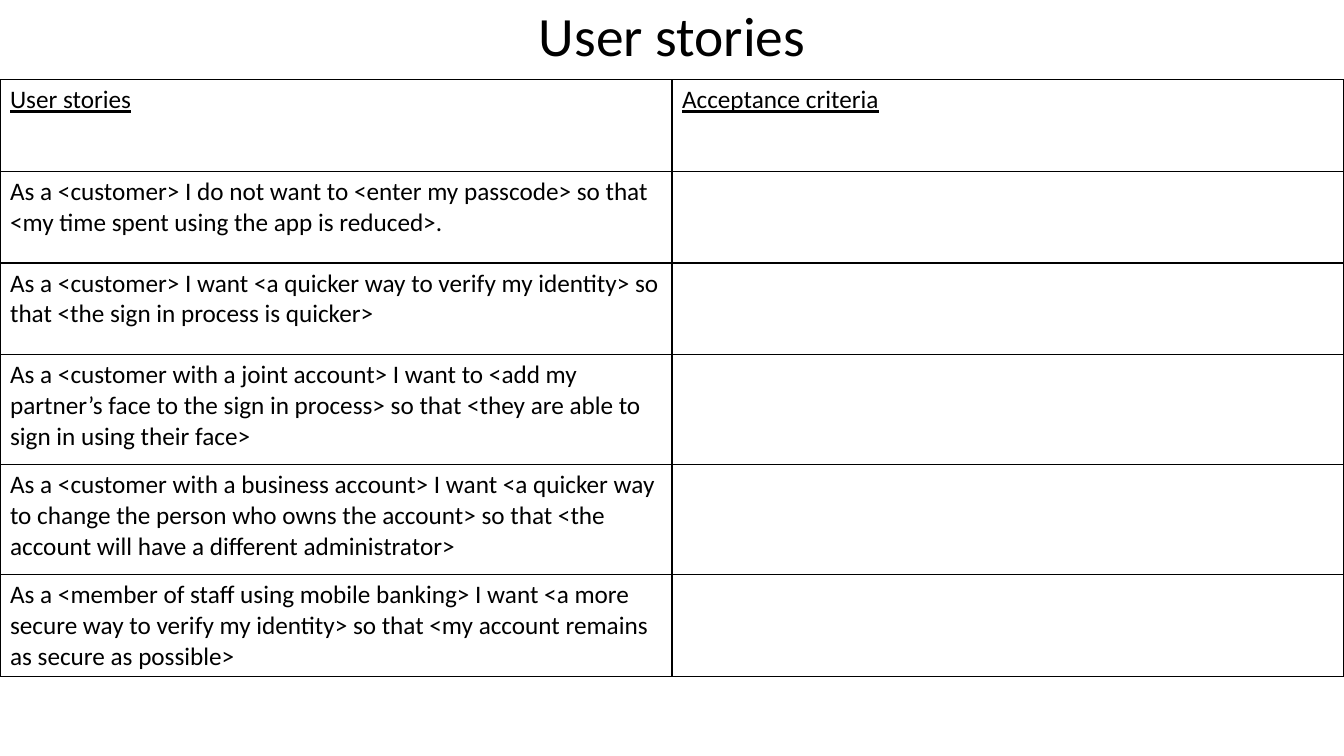
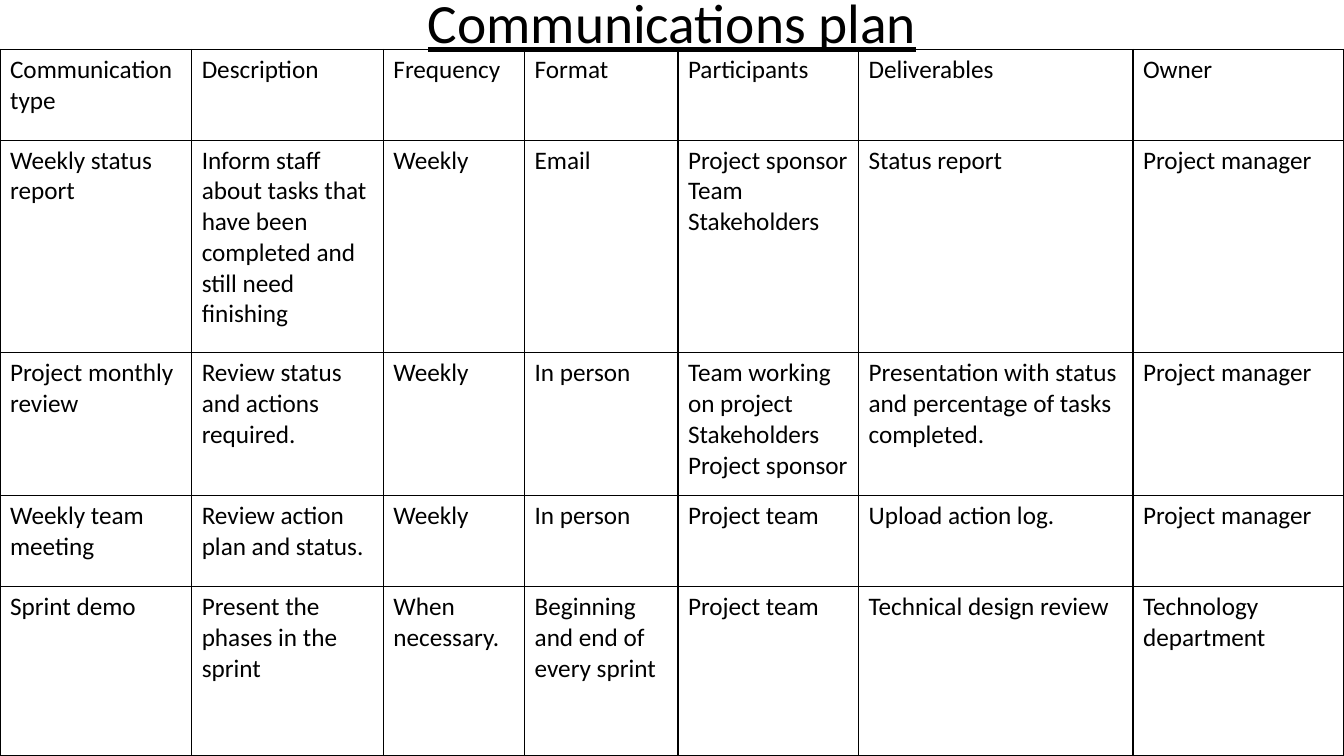
from lxml.etree import SubElement as Sub
from pptx import Presentation
from pptx.dml.color import RGBColor
from pptx.enum.text import MSO_ANCHOR as Anchor, MSO_AUTO_SIZE as Fit, PP_ALIGN as Align
from pptx.oxml.ns import qn
from pptx.util import Inches, Pt

INK = RGBColor(0, 0, 0)
FONT = "Calibri"
WIDE, HIGH = 13.33, 7.5
TOP = 0.02

STORIES = [
    ["User stories", "Acceptance criteria"],
    ["As a <customer> I do not want to <enter my passcode> so that "
     "<my time spent using the app is reduced>.", ""],
    ["As a <customer> I want <a quicker way to verify my identity> so that "
     "<the sign in process is quicker>", ""],
    ["As a <customer with a joint account> I want to <add my partner’s face to "
     "the sign in process> so that <they are able to sign in using their face>", ""],
    ["As a <customer with a business account> I want <a quicker way to change the "
     "person who owns the account> so that <the account will have a different "
     "administrator>", ""],
    ["As a <member of staff using mobile banking> I want <a more secure way to "
     "verify my identity> so that <my account remains as secure as possible>", ""],
]

PLAN = [
    ["Communication type", "Description", "Frequency", "Format",
     "Participants", "Deliverables", "Owner"],
    ["Weekly status report",
     "Inform staff about tasks that have been completed and still need finishing",
     "Weekly", "Email", "Project sponsor\nTeam\nStakeholders",
     "Status report", "Project manager"],
    ["Project monthly review", "Review status and actions required.",
     "Weekly", "In person", "Team working on project\nStakeholders\nProject sponsor",
     "Presentation with status and percentage of tasks completed.", "Project manager"],
    ["Weekly team meeting", "Review action plan and status.",
     "Weekly", "In person", "Project team", "Upload action log.", "Project manager"],
    ["Sprint demo", "Present the phases in the sprint", "When necessary.",
     "Beginning and end of every sprint", "Project team",
     "Technical design review", "Technology department"],
]


def style(par, size, under=False):
    font = par.font
    font.name, font.size, font.underline = FONT, Pt(size), under
    font.color.rgb = INK


def add_title(slide, text, box, under):
    title = slide.shapes.title
    title.left, title.top, title.width, title.height = map(Inches, box)
    frame = title.text_frame
    frame.text = text
    frame.auto_size = Fit.NONE
    frame.vertical_anchor = Anchor.MIDDLE
    par = frame.paragraphs[0]
    par.alignment, par.line_spacing = Align.CENTER, 0.9
    style(par, 39.6, under)


def add_rules(cell):
    props = cell._tc.get_or_add_tcPr()
    for side in ("lnL", "lnR", "lnT", "lnB"):
        line = Sub(props, qn(f"a:{side}"), w=str(Pt(1)))
        fill = Sub(line, qn("a:solidFill"))
        Sub(fill, qn("a:srgbClr"), val=str(INK))


def add_grid(slide, data, box, cols, rows, under):
    frame = slide.shapes.add_table(len(rows), len(cols), *map(Inches, box))
    table = frame.table
    table.first_row = table.horz_banding = False
    for col, share in zip(table.columns, cols):
        col.width = Inches(box[2] * share / sum(cols))
    for row, tall in zip(table.rows, rows):
        row.height = Inches(tall)
    for r, line in enumerate(data):
        for c, text in enumerate(line):
            cell = table.cell(r, c)
            cell.text = text
            add_rules(cell)
            cell.fill.background()
            for par in cell.text_frame.paragraphs:
                style(par, 18, under and r == 0)


def add_page(deck, name, data, head, top, cols, rows, title_line=False, head_line=False):
    slide = deck.slides.add_slide(deck.slide_layouts[5])
    add_title(slide, name, (0, TOP, WIDE, head), title_line)
    add_grid(slide, data, (0, top, WIDE, sum(rows)), cols, rows, head_line)


def main():
    deck = Presentation()
    deck.slide_width, deck.slide_height = Inches(WIDE), Inches(HIGH)
    add_page(deck, "User stories", STORIES, 0.72, 0.79, [1, 1],
             [0.91, 0.91, 0.91, 1.09, 1.09, 0.91], head_line=True)
    add_page(deck, "Communications plan", PLAN, 0.47, 0.49,
             [1.9, 1.9, 1.4, 1.52, 1.79, 2.72, 2.09],
             [0.9, 2.11, 1.42, 0.9, 1.68], title_line=True)
    deck.save("out.pptx")


if __name__ == "__main__":
    main()
